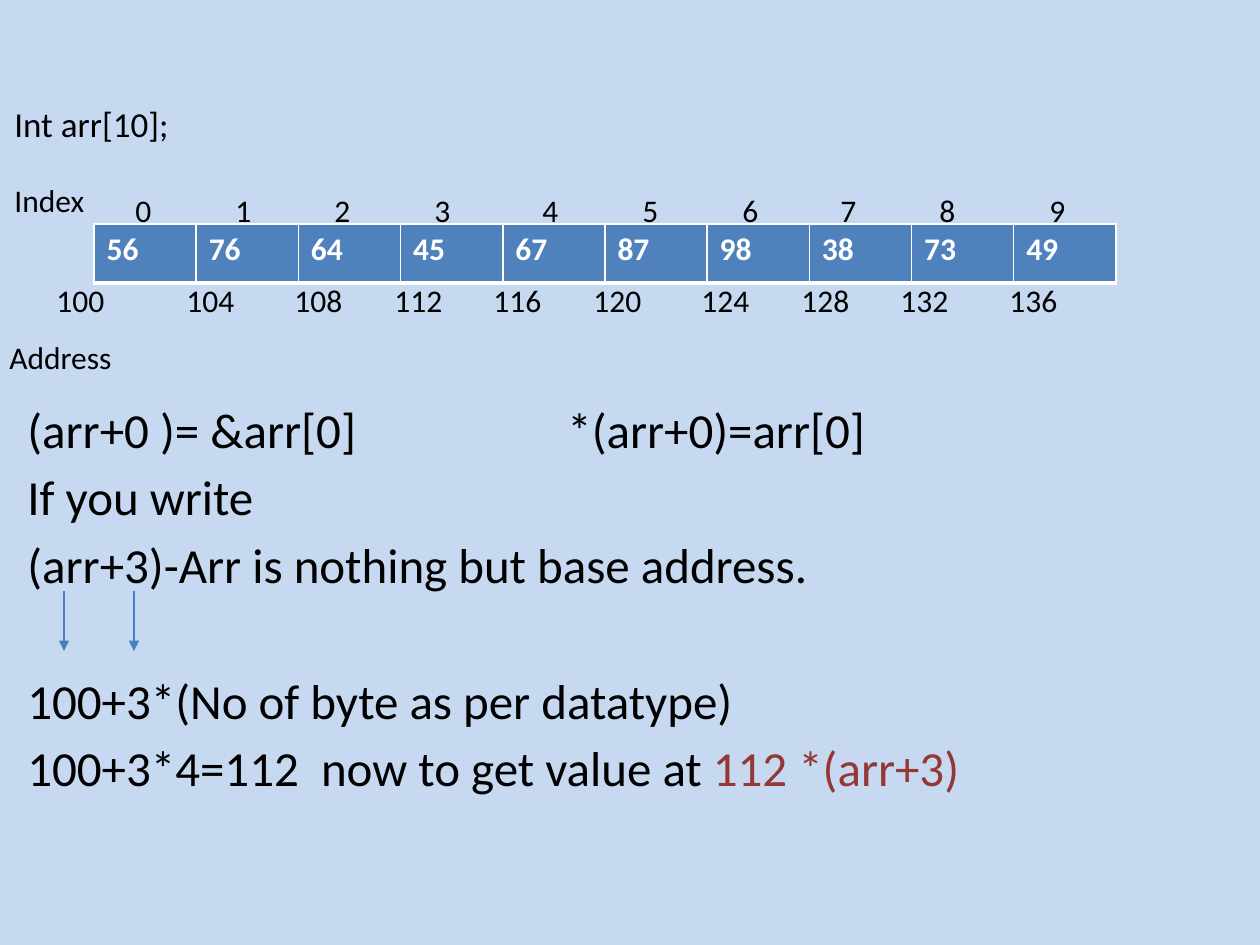
from lxml import etree
from pptx import Presentation
from pptx import util as u
from pptx.dml.color import RGBColor
from pptx.enum import shapes, text
from pptx.oxml import ns

PX = 914400 / 126
BACKGROUND = RGBColor(0xC6, 0xD9, 0xF1)
BLACK = RGBColor(0, 0, 0)
WHITE = RGBColor(0xFF, 0xFF, 0xFF)
CELL_BLUE = RGBColor(0x4F, 0x81, 0xBD)
ARROW_BLUE = RGBColor(0x4B, 0x7E, 0xBC)
RED = RGBColor(0x95, 0x37, 0x35)

VALUES = [56, 76, 64, 45, 67, 87, 98, 38, 73, 49]
INDEX_LEFTS = [123, 223, 322, 422, 530, 630, 730, 828, 927, 1037]
ADDRESS_LEFTS = [44, 174, 282, 382, 481, 581, 689, 789, 888, 997]

# Each line: space before in points, then (wording, colour) runs
EXPLANATION = [
    (5, [("(arr+0 )= &arr[0]\t*(arr+0)=arr[0]", BLACK)]),
    (5, [("If you write", BLACK)]),
    (5, [("(arr+3)-Arr is nothing but base address.", BLACK)]),
    (44, [("100+3*(No of byte as per datatype)", BLACK)]),
    (5, [("100+3*4=112  now to get value at ", BLACK), ("112 *(arr+3)", RED)]),
]


def px(*lengths):
    return [u.Emu(round(length * PX)) for length in lengths]


def add_element(parent, tag, **attributes):
    return etree.SubElement(parent, ns.qn(tag), attributes)


def add_run(paragraph, wording, color=BLACK, size=18, bold=False):
    run = paragraph.add_run()
    run.text = wording
    run.font.color.rgb = color
    values = {"name": "Calibri", "size": u.Pt(size), "bold": bold}
    for name, value in values.items():
        setattr(run.font, name, value)


def add_text_box(slide, left, top, width, height):
    frame = slide.shapes.add_textbox(*px(left, top, width, height)).text_frame
    values = {"word_wrap": True, "auto_size": text.MSO_AUTO_SIZE.NONE,
              "vertical_anchor": text.MSO_ANCHOR.TOP}
    for name, value in values.items():
        setattr(frame, name, value)
    return frame


def add_label(slide, wording, left, top, width, height=50, size=18):
    frame = add_text_box(slide, left, top, width, height)
    add_run(frame.paragraphs[0], wording, size=size)
    return frame.paragraphs[0]


def add_explanation(slide):
    frame = add_text_box(slide, 15, 393, 1191, 525)
    for number, (space, runs) in enumerate(EXPLANATION):
        paragraph = frame.add_paragraph() if number else frame.paragraphs[0]
        paragraph.space_before = u.Pt(space)
        for wording, color in runs:
            add_run(paragraph, wording, color, 28)
    # Tab stop for the second expression of the first line
    properties = frame.paragraphs[0]._p.get_or_add_pPr()
    tabs = add_element(properties, "a:tabLst")
    add_element(tabs, "a:tab", pos=str(px(540)[0]), algn="l")


def set_borders(cell):
    properties = cell._tc.get_or_add_tcPr()
    for position, (side, points) in enumerate(
            {"L": 1, "R": 1, "T": 1, "B": 3}.items()):
        line = etree.Element(ns.qn(f"a:ln{side}"), w=str(u.Pt(points)))
        fill = add_element(line, "a:solidFill")
        add_element(fill, "a:srgbClr", val=str(WHITE))
        properties.insert(position, line)


def add_array(slide):
    table = slide.shapes.add_table(
        1, len(VALUES), *px(94, 224, 1022, 59)).table
    table.first_row = table.horz_banding = False
    for cell, value in zip(table.iter_cells(), VALUES):
        cell.fill.solid()
        cell.fill.fore_color.rgb = CELL_BLUE
        add_run(cell.text_frame.paragraphs[0], str(value), WHITE, bold=True)
        set_borders(cell)


def add_arrow(slide, x, top, bottom):
    arrow = slide.shapes.add_connector(
        shapes.MSO_CONNECTOR.STRAIGHT, *px(x, top, x, bottom))
    arrow.line.color.rgb = ARROW_BLUE
    arrow.line.width = u.Pt(0.75)
    add_element(arrow.line._get_or_add_ln(), "a:tailEnd", type="triangle")
    add_element(arrow._element.spPr, "a:effectLst")


def main():
    presentation = Presentation()
    presentation.slide_width, presentation.slide_height = px(1260, 945)
    slide = presentation.slides.add_slide(presentation.slide_layouts[6])
    slide.background.fill.solid()
    slide.background.fill.fore_color.rgb = BACKGROUND

    # Declaration and explanation
    declaration = add_label(slide, "Int arr[10];", 2, 96, 446, 377, size=20)
    declaration.space_before = u.Pt(4)
    add_explanation(slide)

    # Array with indexes above and addresses below
    add_array(slide)
    add_label(slide, "Index", 2, 175, 122)
    add_label(slide, "Address", -3, 332, 233)
    for index, (index_left, address_left) in enumerate(
            zip(INDEX_LEFTS, ADDRESS_LEFTS)):
        add_label(slide, str(index), index_left, 185, 59)
        add_label(slide, str(100 + 4 * index), address_left, 275, 79)

    # Arrows from the expression to its parts
    for x in (64, 134):
        add_arrow(slide, x, 591, 651)

    presentation.save("out.pptx")


if __name__ == "__main__":
    main()
